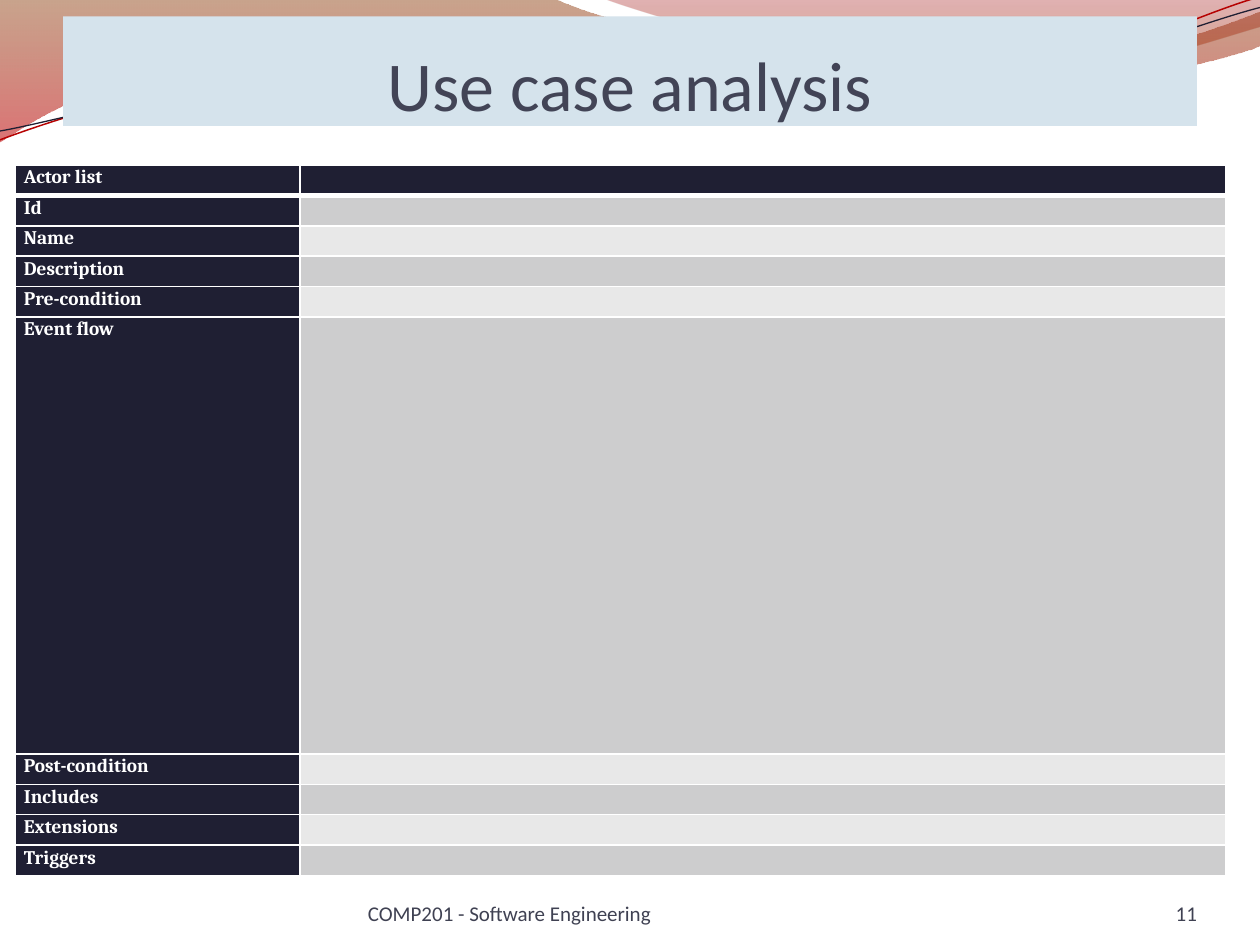
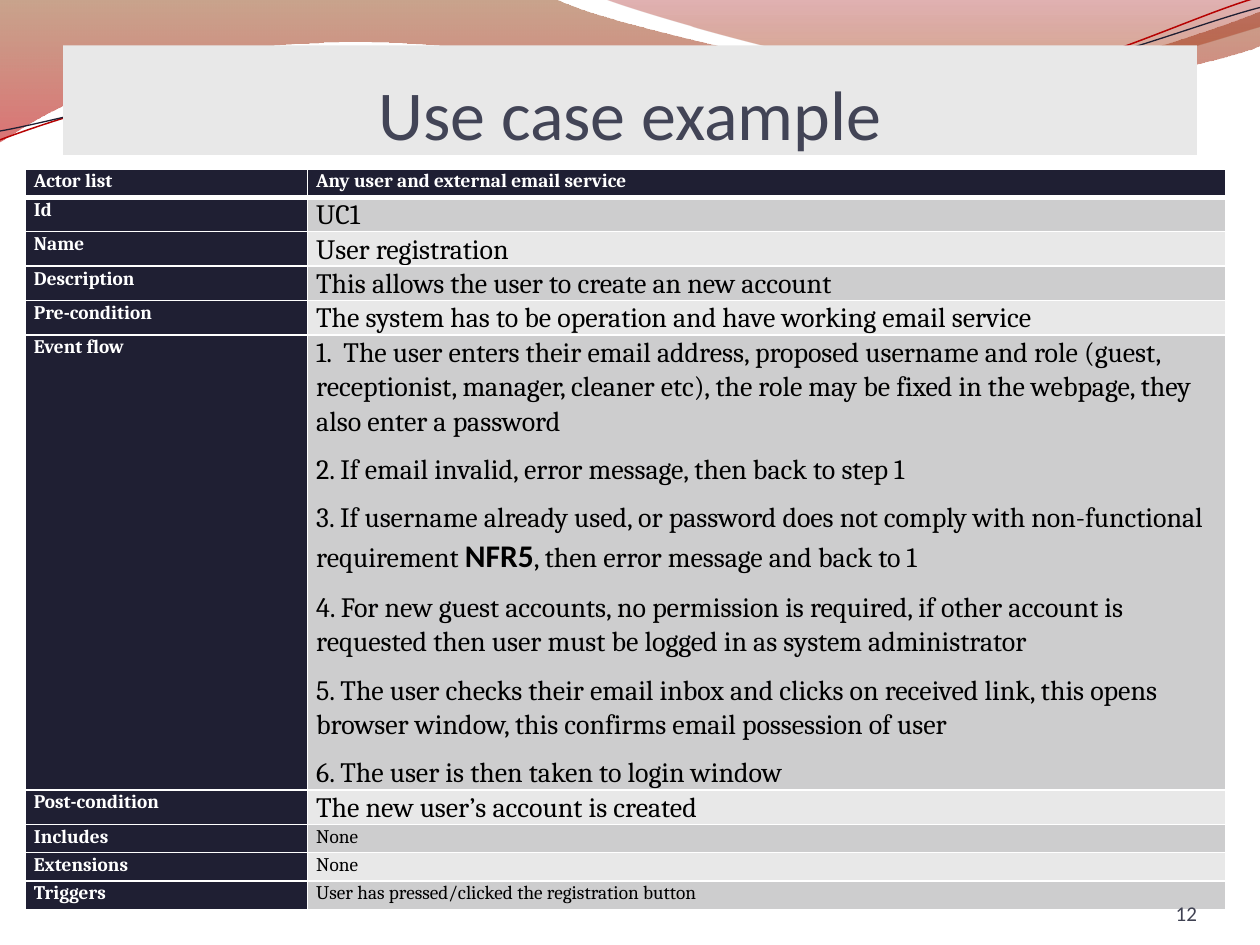
"""Build two slides with use case tables: an empty form and a worked example."""
from math import cos, radians, sin

from lxml.etree import SubElement
from pptx import Presentation
from pptx.dml.color import RGBColor
from pptx.enum.text import MSO_ANCHOR, MSO_AUTO_SIZE, PP_ALIGN
from pptx.oxml import parse_xml
from pptx.oxml.ns import nsdecls, qn
from pptx.util import Inches, Pt

COLORS = {
    "white": "FFFFFF", "black": "000000", "navy": "1F1F33", "title": "424456",
    "footer": "3F4152", "pale_blue": "D5E3EC", "light": "E8E8E8", "grey": "CDCDCE",
    "red": "B60202", "brown": "883400", "crimson": "BD0000", "maroon": "9A0000",
    "rust": "A23E00",
}
HEADING_FONT, TABLE_FONT = "Calibri", "Cambria"

WAVES = [
    {"start": (0, 0),
     "segments": [
         [(4.4, -0.01)],
         [(4.76, 0.17), (6.64, 0.63), (7.58, 0.63)],
         [(8.53, 0.63), (9.58, 0.26), (10, 0.09)],
         [(10.01, 0.36)],
         [(9.83, 0.44), (8.7, 0.76), (7.46, 0.75)],
         [(6.22, 0.75), (3.82, 0.28), (2.57, 0.34)],
         [(1.29, 0.36), (0.46, 0.83), (-0.01, 1.13)],
         [(0, 0)]],
     "gradient": [(0, "brown", 45), (100, "crimson", 55)]},
    {"start": (4.79, -0.01),
     "segments": [
         [(5.09, 0.11), (6.82, 0.62), (7.69, 0.65)],
         [(8.56, 0.69), (9.61, 0.32), (10, 0.21)],
         [(10, 0)],
         [(4.79, -0.01)]],
     "gradient": [(0, "maroon", 30), (80, "rust", 45)]},
    {"start": (0, 1.11),
     "segments": [
         [(0.48, 0.93), (1.58, 0.57), (2.77, 0.52)],
         [(3.95, 0.47), (5.93, 0.89), (7.13, 0.8)],
         [(8.33, 0.71), (9.38, 0.15), (9.98, -0.02)]],
     "line": ("red", 0.85), "tilt": 2.7, "center": (4.99, 0.58)},
    {"start": (0, 1.04),
     "segments": [
         [(0.47, 0.96), (1.64, 0.61), (2.83, 0.56)],
         [(4.03, 0.51), (5.97, 0.84), (7.17, 0.75)],
         [(8.36, 0.67), (9.41, 0.21), (10, 0.06)]],
     "line": ("navy", 0.75), "tilt": 2.7, "center": (5, 0.59)},
]

FIELDS = ["Actor list", "Id", "Name", "Description", "Pre-condition", "Event flow",
          "Post-condition", "Includes", "Extensions", "Triggers"]
SMALL_FIELDS = {"Actor list", "Includes", "Extensions", "Triggers"}
REGISTRATION = {
    "Actor list": ["Any user and external email service"],
    "Id": ["UC1"],
    "Name": ["User registration"],
    "Description": ["This allows the user to create an new account"],
    "Pre-condition": ["The system has to be operation and have working email service"],
    "Event flow": [
        "1.  The user enters their email address, proposed username and role (guest, "
        "receptionist, manager, cleaner etc), the role may be fixed in the webpage, "
        "they also enter a password",
        "2. If email invalid, error message, then back to step 1",
        "3. If username already used, or password does not comply with non-functional "
        "requirement **NFR5**, then error message and back to 1",
        "4. For new guest accounts, no permission is required, if other account is "
        "requested then user must be logged in as system administrator",
        "5. The user checks their email inbox and clicks on received link, this opens "
        "browser window, this confirms email possession of user",
        "6. The user is then taken to login window",
    ],
    "Post-condition": ["The new user’s account is created"],
    "Includes": ["None"],
    "Extensions": ["None"],
    "Triggers": ["User has pressed/clicked the registration button"],
}
SLIDES = [
    {"title": "Use case analysis", "title_top": 0.13, "title_fill": "pale_blue",
     "values": {}, "table_at": (0.12, 1.31), "columns": (2.26, 7.35),
     "table_height": 5.64, "flow_row": 3.47, "number": "11",
     "footer": "COMP201 - Software Engineering"},
    {"title": "Use case example", "title_top": 0.36, "title_fill": "light",
     "values": REGISTRATION, "table_at": (0.2, 1.34), "columns": (2.24, 7.29),
     "table_height": 5.3, "flow_row": 3.27, "number": "12", "footer": ""},
]


def write_text(text_frame, paragraphs, size, color, font=HEADING_FONT, bold=False,
               align=PP_ALIGN.LEFT, line_spacing=None, space_after=None):
    """Fill a text frame; text between double asterisks is set strong."""
    for index, text in enumerate(paragraphs):
        paragraph = text_frame.add_paragraph() if index else text_frame.paragraphs[0]
        paragraph.alignment = align
        paragraph.line_spacing = line_spacing
        paragraph.space_after = space_after
        for position, piece in enumerate(text.split("**")):
            strong = position % 2 == 1
            if piece:
                run = paragraph.add_run()
                run.text = piece
                run.font.name = HEADING_FONT if strong else font
                run.font.size = Pt(18 if strong else size)
                run.font.bold = strong or bold
                run.font.color.rgb = RGBColor.from_string(COLORS[color])
        if not text:
            SubElement(paragraph._p, qn("a:endParaRPr"), sz=str(size * 100))


def set_border(cell, side, width):
    """Draw a white border on one side of a cell."""
    cell._tc.get_or_add_tcPr().append(parse_xml(
        f'<a:ln{side} {nsdecls("a")} w="{Pt(width)}"><a:solidFill>'
        f'<a:srgbClr val="{COLORS["white"]}"/></a:solidFill></a:ln{side}>'))


presentation = Presentation()
presentation.slide_width = Inches(10)
presentation.slide_height = Inches(7.5)
layout = presentation.slide_layouts[5]
slides = [presentation.slides.add_slide(layout) for _ in SLIDES]

for index, wave in enumerate(WAVES):
    tilt = wave.get("tilt", 0)
    center_x, center_y = wave.get("center", (0, 0))
    cosine, sine = cos(radians(tilt)), sin(radians(tilt))
    points = []
    for x, y in [wave["start"], *sum(wave["segments"], [])]:
        across, down = x - center_x, y - center_y
        points.append((Inches(center_x + across * cosine - down * sine),
                       Inches(center_y + across * sine + down * cosine)))
    builder = slides[0].shapes.build_freeform(*points[0])
    builder.add_line_segments(points[1:], close="gradient" in wave)
    shape = builder.convert_to_shape()
    shape.rotation = -tilt % 360
    shape.shadow.inherit = False
    shape.fill.background()
    shape.line.fill.background()
    corners = iter(list(shape.element.iter(qn("a:lnTo"))))
    for segment in wave["segments"]:
        steps = [next(corners) for _ in segment]
        if len(steps) == 3:
            curve = parse_xml(f'<a:cubicBezTo {nsdecls("a")}/>')
            steps[0].addprevious(curve)
            for step in steps:
                curve.append(step[0])
                step.getparent().remove(step)
    if "gradient" in wave:
        stops = "".join(
            f'<a:gs pos="{place * 1000}"><a:srgbClr val="{COLORS[color]}">'
            f'<a:alpha val="{alpha * 1000}"/></a:srgbClr></a:gs>'
            for place, color, alpha in wave["gradient"])
        properties = shape.element.spPr
        properties.replace(properties.find(qn("a:noFill")), parse_xml(
            f'<a:gradFill {nsdecls("a")} rotWithShape="1"><a:gsLst>{stops}</a:gsLst>'
            '<a:lin ang="5400000" scaled="0"/></a:gradFill>'))
    else:
        color, width = wave["line"]
        shape.line.color.rgb = RGBColor.from_string(COLORS[color])
        shape.line.width = Pt(width)
    presentation.slide_master.shapes.element.insert(2 + index, shape.element)

for slide, content in zip(slides, SLIDES):
    title = slide.shapes.title
    title.left, title.top = Inches(0.5), Inches(content["title_top"])
    title.width, title.height = Inches(9), Inches(0.87)
    title.fill.solid()
    title.fill.fore_color.rgb = RGBColor.from_string(COLORS[content["title_fill"]])
    frame = title.text_frame
    frame.auto_size = MSO_AUTO_SIZE.NONE
    frame.vertical_anchor = MSO_ANCHOR.BOTTOM
    frame.margin_left = frame.margin_right = frame.margin_bottom = 0
    frame.margin_top = Inches(0.05)
    write_text(frame, [content["title"]], size=40, color="title", align=PP_ALIGN.CENTER)

    left, top = content["table_at"]
    table_height, flow_height = content["table_height"], content["flow_row"]
    row_height = (table_height - flow_height) / (len(FIELDS) - 1)
    table = slide.shapes.add_table(
        len(FIELDS), 2, Inches(left), Inches(top),
        Inches(sum(content["columns"])), Inches(table_height)).table
    for column, width in zip(table.columns, content["columns"]):
        column.width = Inches(width)
    for row_index, field in enumerate(FIELDS):
        table.rows[row_index].height = Inches(
            flow_height if field == "Event flow" else row_height)
        values = content["values"].get(field, [""])
        for column_index, paragraphs in enumerate(([field], values)):
            cell = table.cell(row_index, column_index)
            heading = row_index == 0 or column_index == 0
            small = heading or field in SMALL_FIELDS or not content["values"]
            cell.margin_left = cell.margin_right = Inches(0.07)
            cell.margin_top = cell.margin_bottom = 0
            write_text(cell.text_frame, paragraphs, size=11 if small else 16,
                       color="white" if heading else "black", font=TABLE_FONT,
                       bold=heading, line_spacing=1.07, space_after=Pt(8))
            for side in "LRTB":
                thick = (side, row_index) in (("B", 0), ("T", 1))
                set_border(cell, side, 3 if thick else 1)
            band = "grey" if row_index % 2 else "light"
            cell.fill.solid()
            cell.fill.fore_color.rgb = RGBColor.from_string(
                COLORS["navy" if heading else band])

    for text, left, width, align in (
            (content["footer"], 2.92, 3.67, PP_ALIGN.LEFT),
            (content["number"], 8.67, 0.83, PP_ALIGN.RIGHT)):
        if text:
            box = slide.shapes.add_textbox(Inches(left), Inches(6.95),
                                           Inches(width), Inches(0.4))
            frame = box.text_frame
            frame.word_wrap = True
            frame.vertical_anchor = MSO_ANCHOR.BOTTOM
            frame.margin_left = frame.margin_right = 0
            frame.margin_top = frame.margin_bottom = 0
            write_text(frame, [text], size=12, color="footer", align=align)

presentation.save("out.pptx")
